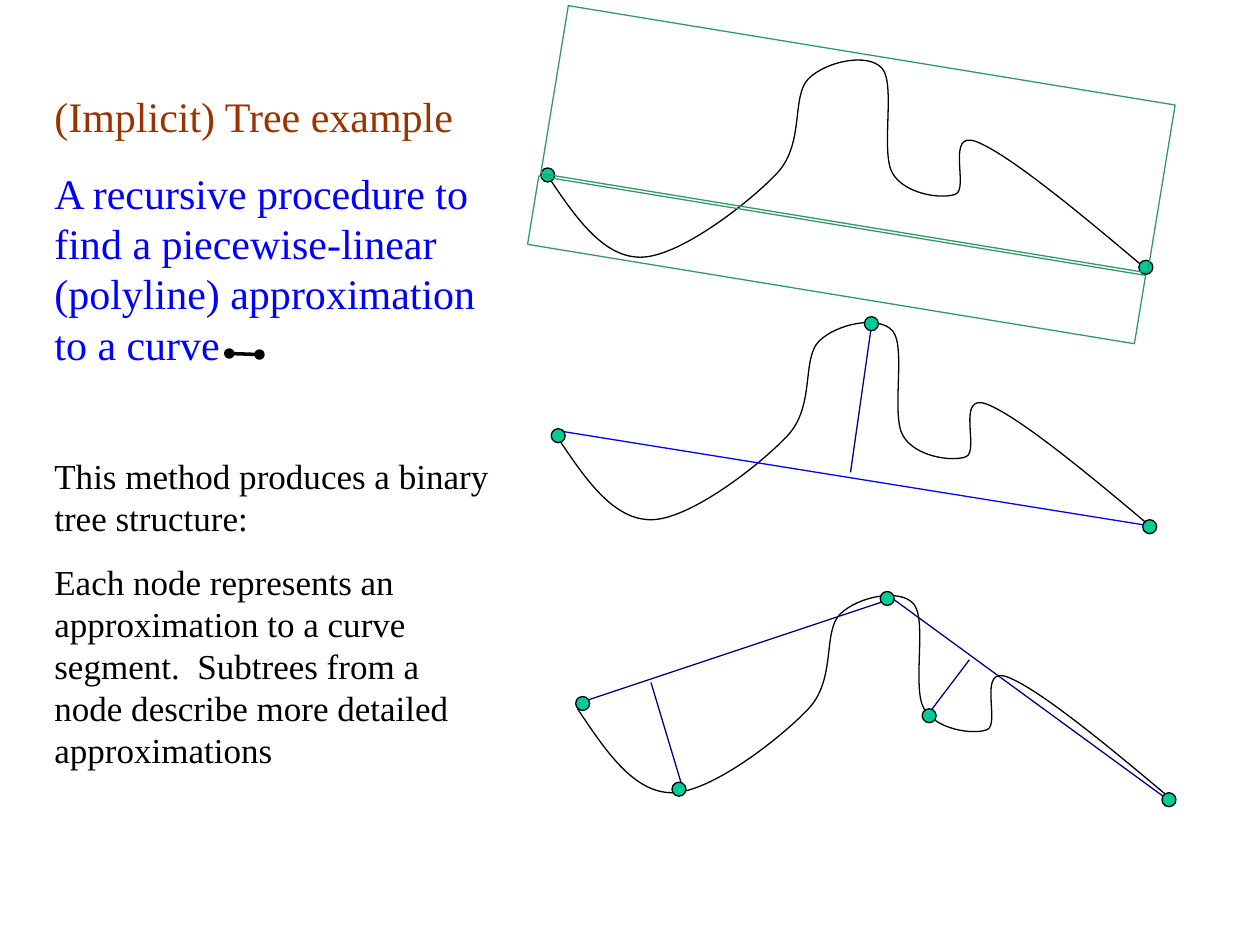
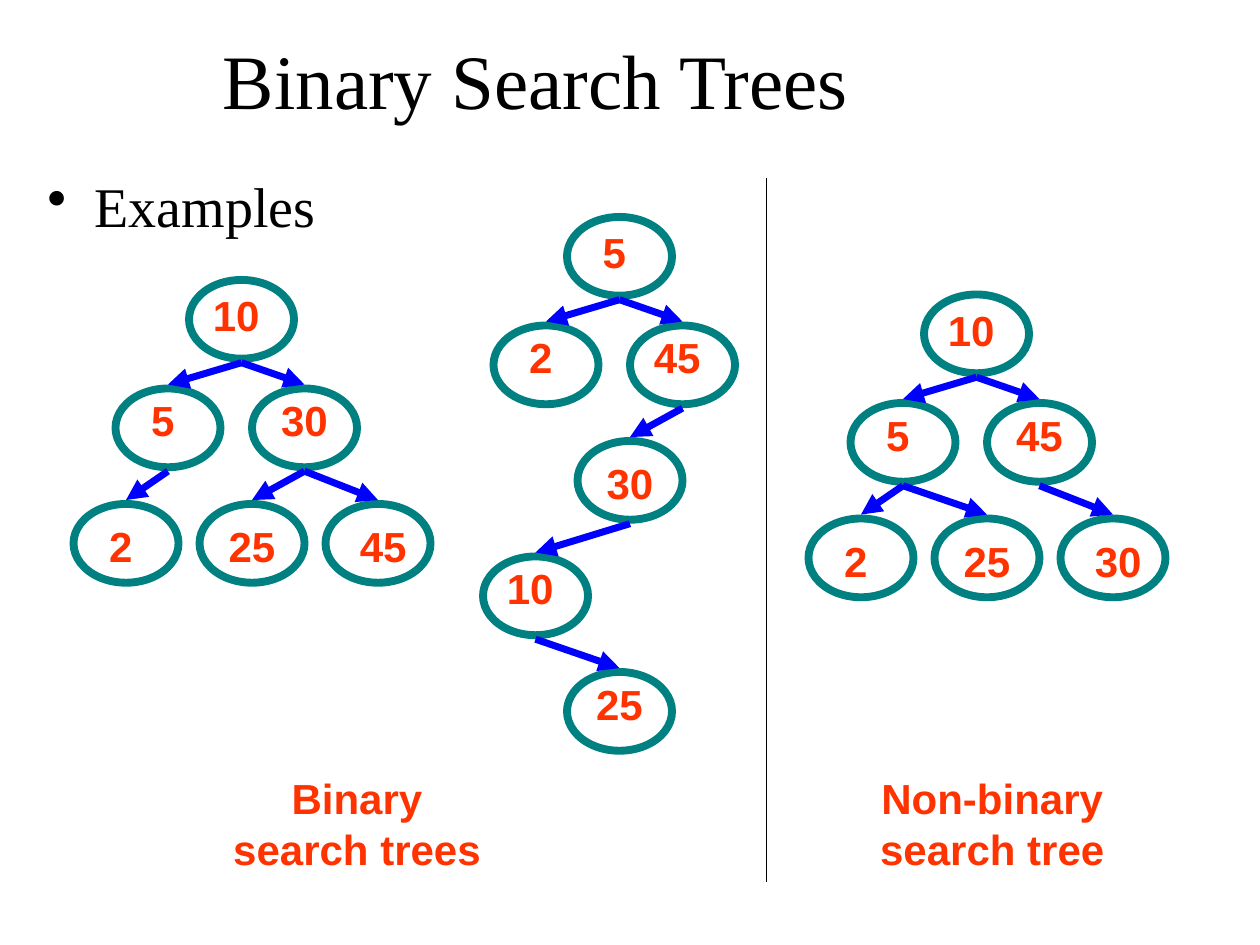
from lxml.etree import Element, SubElement
from pptx import Presentation
from pptx.dml.color import RGBColor
from pptx.enum.shapes import MSO_CONNECTOR, MSO_SHAPE
from pptx.enum.text import MSO_ANCHOR as ANCHOR, PP_ALIGN as ALIGN
from pptx.oxml.ns import qn
from pptx.util import Pt

COLORS = {
    "ink": "000000", "heading": "993300", "blue": "0000FF", "navy": "000080",
    "dot": "00CC99", "box": "339966", "node": "008080", "label": "FF3300",
}
SERIF, SANS = "Times New Roman", "Arial"
LABEL_FORMAT = {"size": 24, "color": "label", "font": SANS, "bold": True, "align": ALIGN.CENTER}

CURVE_START = (0, 69)
CURVE_BEZIERS = [
    ((16, 93), (32, 117), (54, 117)),
    ((76, 117), (116, 86), (132, 69)),
    ((148, 52), (140, 25), (150, 15)),
    ((160, 5), (184, 0), (192, 9)),
    ((200, 18), (191, 57), (198, 69)),
    ((205, 81), (226, 84), (234, 81)),
    ((242, 78), (228, 44), (246, 51)),
    ((264, 58), (303, 90), (342, 123)),
]

CURVE_PANELS = [
    {"origin": (312, 30), "dots": [(1, 70), (342.8, 122.8)],
     "boxes": [(2.6, 1, 351.4, 97.2), (-9.6, 98.7, 351.4, 39.6)]},
    {"origin": (318, 180), "dots": [(180, 5), (1, 69), (339, 121)],
     "lines": [((0, 66), (336, 120), "blue"), ((180, 6), (168, 90), "navy")]},
    {"origin": (330, 336), "dots": [(177, 6), (3, 66), (58, 115), (201, 73), (338, 121)],
     "lines": [((0, 66), (180, 6), "navy"), ((180, 6), (336, 120), "navy"),
               ((60, 114), (42, 54), "navy"), ((199, 74), (224, 41), "navy")]},
]
BOX_ROTATION = 9.3
DOT_SIZE = 8

NODE_WIDTH, NODE_HEIGHT, NODE_LINE = 60, 45, 4.5
LABEL_WIDTH, LABEL_HEIGHT = 48, 36
FULL_TREE_SPOTS = [(66, 0, -3, 2), (24, 62, -3, 0), (102, 62, 0, 0),
                   (0, 128, -3, 6), (72, 128, 0, 6), (144, 128, 3, 6)]
CHAIN_TREE_SPOTS = [(48, 0, -3, 2), (6, 62, -3, 0), (84, 62, -3, 0),
                    (54, 128, 0, 6), (0, 194, -3, 0), (48, 260, 0, 0)]
TREES = [
    {"origin": (42, 160), "spots": FULL_TREE_SPOTS, "values": [10, 5, 30, 2, 25, 45],
     "edges": [(0, 1), (0, 2), (1, 3), (2, 4), (2, 5)]},
    {"origin": (276, 124), "spots": CHAIN_TREE_SPOTS, "values": [5, 2, 45, 30, 10, 25],
     "edges": [(0, 1), (0, 2), (2, 3), (3, 4), (4, 5)]},
    {"origin": (462, 168.3), "spots": FULL_TREE_SPOTS, "values": [10, 5, 45, 2, 25, 30],
     "edges": [(0, 1), (0, 2), (1, 3), (1, 4), (2, 5)]},
]


def rgb(name):
    """Return the palette colour with this name."""
    return RGBColor.from_string(COLORS[name])


def apply_format(target, values):
    """Set each attribute in the dict on the target."""
    for name, value in values.items():
        setattr(target, name, value)


def style_outline(shape, color, width, fill=None):
    """Give a shape its outline and its fill, without a shadow."""
    shape.shadow.inherit = False
    shape.line.color.rgb = rgb(color)
    shape.line.width = Pt(width)
    if fill:
        shape.fill.solid()
        shape.fill.fore_color.rgb = rgb(fill)
    else:
        shape.fill.background()


def add_outlined(slide, kind, box, color, width, fill=None):
    """Add a preset shape in a box given in points."""
    shape = slide.shapes.add_shape(kind, *map(Pt, box))
    style_outline(shape, color, width, fill)
    return shape


def add_line(slide, start, end, color, width, head=None, tail=None):
    """Add a straight line with optional ends."""
    connector = slide.shapes.add_connector(MSO_CONNECTOR.STRAIGHT, *map(Pt, (*start, *end)))
    connector.line.color.rgb = rgb(color)
    connector.line.width = Pt(width)
    properties = connector._element.spPr
    outline = properties.find(qn("a:ln"))
    for tag, kind in (("a:headEnd", head), ("a:tailEnd", tail)):
        if kind:
            SubElement(outline, qn(tag), type=kind)
    SubElement(properties, qn("a:effectLst"))


def add_bullet(paragraph, indent):
    """Give a paragraph a round bullet with a hanging indent."""
    properties = paragraph._p.get_or_add_pPr()
    properties.set("marL", str(Pt(indent)))
    properties.set("indent", str(-Pt(indent)))
    SubElement(properties, qn("a:buChar"), char="•")


def add_text(slide, box, paragraphs, anchor=ANCHOR.TOP):
    """Add a text box from pairs of text and format values."""
    frame = slide.shapes.add_textbox(*map(Pt, box)).text_frame
    apply_format(frame, {"word_wrap": True, "vertical_anchor": anchor})
    for index, (text, style) in enumerate(paragraphs):
        paragraph = frame.add_paragraph() if index else frame.paragraphs[0]
        apply_format(paragraph, {
            "alignment": style.get("align", ALIGN.LEFT),
            "space_before": Pt(style.get("before", 0)),
        })
        if "bullet_indent" in style:
            add_bullet(paragraph, style["bullet_indent"])
        run = paragraph.add_run()
        run.text = text
        apply_format(run.font, {
            "name": style.get("font", SERIF),
            "size": Pt(style["size"]),
            "bold": style.get("bold", False),
        })
        run.font.color.rgb = rgb(style.get("color", "ink"))


def add_curve(slide, left, top):
    """Draw the curve as an open freeform of cubic pieces."""
    points = [CURVE_START, *(point for piece in CURVE_BEZIERS for point in piece)]
    outline = [(Pt(left + x), Pt(top + y)) for x, y in points]
    builder = slide.shapes.build_freeform(*outline[0])
    builder.add_line_segments(outline[1:], close=False)
    curve = builder.convert_to_shape()
    style_outline(curve, "ink", 0.75)
    segments = list(curve._element.iter(qn("a:lnTo")))
    for first in range(0, len(segments), 3):
        bezier = Element(qn("a:cubicBezTo"))
        segments[first].addprevious(bezier)
        for segment in segments[first:first + 3]:
            bezier.append(segment[0])
            segment.getparent().remove(segment)


def add_curve_panel(slide, origin, dots, lines=(), boxes=()):
    """Draw the curve with its chords, bounding boxes and end dots."""
    left, top = origin

    def place(point):
        """Shift a panel point onto the slide."""
        return left + point[0], top + point[1]

    add_curve(slide, left, top)
    for start, end, color in lines:
        add_line(slide, place(start), place(end), color, 0.75)
    for dot in dots:
        x, y = place(dot)
        box = (x - DOT_SIZE / 2, y - DOT_SIZE / 2, DOT_SIZE, DOT_SIZE)
        add_outlined(slide, MSO_SHAPE.OVAL, box, "ink", 0.75, "dot")
    for x, y, width, height in boxes:
        bounds = add_outlined(slide, MSO_SHAPE.RECTANGLE, (*place((x, y)), width, height), "box", 0.75)
        bounds.rotation = BOX_ROTATION


def add_tree(slide, origin, spots, values, edges):
    """Draw a tree of labelled ovals joined by arrows."""
    left, top = origin
    centers = [left + spot[0] + NODE_WIDTH / 2 for spot in spots]
    tops = [top + spot[1] for spot in spots]
    for center, node_top, spot, value in zip(centers, tops, spots, values):
        box = (center - NODE_WIDTH / 2, node_top, NODE_WIDTH, NODE_HEIGHT)
        add_outlined(slide, MSO_SHAPE.OVAL, box, "node", NODE_LINE)
        label_left = center + spot[2] - LABEL_WIDTH / 2
        add_text(slide, (label_left, node_top + spot[3], LABEL_WIDTH, LABEL_HEIGHT),
                 [(str(value), LABEL_FORMAT)])
    for parent, child in edges:
        start = (centers[parent], tops[parent] + NODE_HEIGHT + NODE_LINE / 2)
        end = (centers[child], tops[child] - NODE_LINE / 2)
        add_line(slide, start, end, "blue", 4, tail="triangle")


def build_curve_slide(slide):
    """Fill the slide on approximating a curve with a tree."""
    add_text(slide, (24, 48.2, 263, 396), [
        ("(Implicit) Tree example", {"size": 24, "color": "heading"}),
        ("A recursive procedure to find a piecewise-linear (polyline) approximation to a curve",
         {"size": 24, "color": "blue", "before": 15}),
        ("This method produces a binary tree structure:", {"size": 20, "before": 49}),
        ("Each node represents an approximation to a curve segment.  Subtrees from a node "
         "describe more detailed approximations", {"size": 20, "before": 12.5}),
    ])
    for panel in CURVE_PANELS:
        add_curve_panel(slide, **panel)
    add_line(slide, (131, 202), (148.3, 202.6), "ink", 2, head="oval", tail="oval")


def build_search_tree_slide(slide):
    """Fill the slide with examples of search trees."""
    add_text(slide, (0, 0, 612, 90),
             [("Binary Search Trees", {"size": 44, "align": ALIGN.CENTER})], ANCHOR.MIDDLE)
    add_text(slide, (20, 94.4, 612, 324), [("Examples", {"size": 32, "bullet_indent": 27})])
    for tree in TREES:
        add_tree(slide, **tree)
    for text, left, width in (("Binary search trees", 120, 168), ("Non-binary search tree", 474, 186)):
        add_text(slide, (left, 438, width, 65), [(text, LABEL_FORMAT)])
    add_line(slide, (438, 102), (438, 504), "ink", 1)


def main():
    """Build both slides and save the presentation."""
    presentation = Presentation()
    apply_format(presentation, {"slide_width": Pt(720), "slide_height": Pt(540)})
    blank = presentation.slide_layouts[6]
    for build in (build_curve_slide, build_search_tree_slide):
        build(presentation.slides.add_slide(blank))
    presentation.save("out.pptx")


if __name__ == "__main__":
    main()
